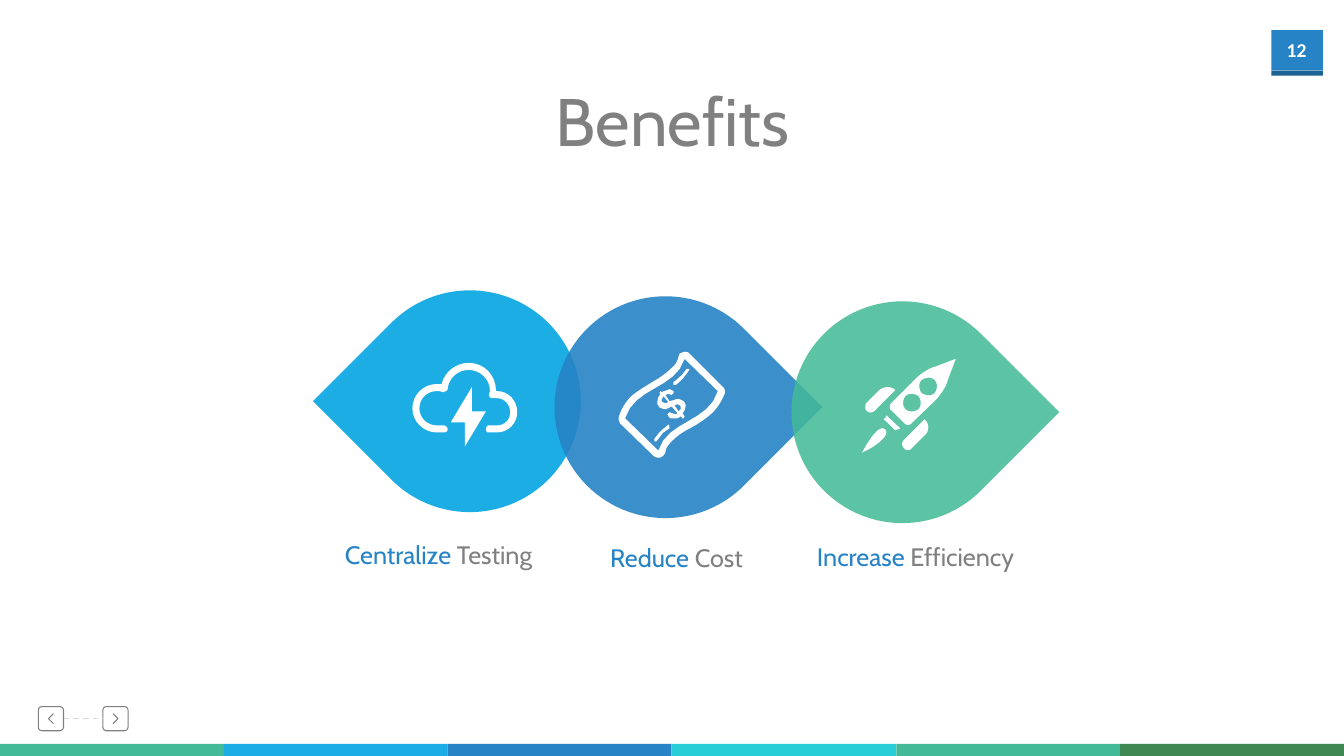
import pptx
import pptx.dml.color
import pptx.enum.dml
import pptx.enum.shapes
import pptx.enum.text
import pptx.oxml.ns
import pptx.util
from lxml import etree

PX = 9144  # one px is a hundredth of an inch
WIDTH, HEIGHT = 1333, 750
SHAPES = pptx.enum.shapes.MSO_SHAPE
GREY, WHITE = "808080", "FFFFFF"
SKY, BLUE, NAVY = "1CADE4", "2683C6", "1D6294"
CYAN, GREEN, FOREST = "27CED7", "42BA97", "3E8853"
CURVE_STEPS = 8

# Icon contours: a start point, then lines (x, y) or cubic curves (six numbers)
CLOUD = [[
    (485, 429), (483, 429, 482, 428, 482, 426), (482, 424, 483, 422, 485, 422),
    (493, 422), (501, 422, 506, 416, 506, 409), (506, 401, 500, 395, 493, 395),
    (489, 395), (488, 395, 487, 395, 486, 394), (485, 393, 485, 392, 485, 391),
    (486, 388), (486, 376, 476, 367, 465, 367), (454, 367, 445, 375, 444, 386),
    (444, 387, 443, 388, 442, 388), (441, 389, 440, 389, 439, 389),
    (437, 388, 435, 388, 433, 388), (424, 388, 416, 395, 416, 405),
    (416, 414, 423, 422, 433, 422), (440, 422), (442, 422, 444, 424, 444, 426),
    (444, 428, 442, 429, 440, 429), (433, 429), (420, 429, 409, 418, 409, 405),
    (409, 392, 420, 381, 433, 381), (438, 381), (441, 369, 452, 360, 465, 360),
    (480, 360, 492, 372, 492, 388), (493, 388), (504, 388, 513, 397, 513, 409),
    (513, 420, 504, 429, 493, 429)]]
BOLT = [[(482, 408), (468, 408), (468, 384), (447, 419), (461, 419), (461, 443)]]
BANKNOTE = [
    [(717, 384), (684, 351), (683, 349, 680, 349, 678, 349),
     (677, 350, 675, 350, 674, 351), (673, 354), (672, 359, 669, 363, 665, 366),
     (660, 371, 654, 375, 647, 379), (639, 384, 632, 388, 625, 394),
     (620, 400, 616, 406, 614, 413), (613, 415, 614, 418, 615, 420), (648, 452),
     (650, 454, 652, 454, 655, 454), (656, 453, 657, 453, 658, 452), (660, 449),
     (660, 444, 664, 440, 667, 437), (672, 432, 678, 428, 686, 424),
     (693, 420, 701, 415, 707, 409), (713, 403, 716, 397, 719, 390),
     (719, 388, 719, 385, 717, 384)],
    [(653, 447), (620, 415), (629, 384, 670, 386, 679, 356), (712, 388),
     (703, 419, 662, 417, 653, 447)]]
DOLLAR = [
    [(678, 398), (674, 396), (671, 396), (668, 397), (664, 398), (660, 392),
     (662, 391), (664, 391), (666, 392), (668, 390), (668, 388), (664, 386),
     (662, 387), (659, 388), (656, 389), (655, 388), (654, 390), (655, 391),
     (653, 394), (652, 398), (652, 401), (654, 404), (656, 405, 658, 406, 660, 406),
     (662, 405, 664, 405, 666, 403), (672, 410), (670, 411), (667, 410), (664, 409),
     (662, 411), (663, 413), (665, 415), (668, 415), (672, 415), (675, 413),
     (677, 415), (678, 415), (679, 413), (677, 410), (679, 407), (680, 403),
     (680, 401)],
    [(660, 400), (657, 399), (656, 397), (658, 393), (663, 399)],
    [(675, 406), (673, 408), (669, 402), (672, 401), (674, 402), (675, 403)]]
LOWER_MARK = [[
    (662, 422), (660, 424, 658, 425, 656, 427), (654, 429, 653, 430, 651, 433),
    (649, 435), (649, 438), (651, 438), (654, 434), (655, 433, 656, 431, 658, 429),
    (660, 428, 662, 426, 664, 425), (664, 422), (664, 421, 663, 421, 662, 422)]]
UPPER_MARK = [[
    (674, 374), (672, 376, 670, 378, 668, 379), (668, 382), (670, 382),
    (673, 380, 674, 379, 676, 377), (678, 375, 679, 373, 681, 371), (683, 368),
    (684, 367, 684, 366, 683, 366), (681, 366), (678, 370),
    (677, 371, 676, 373, 674, 374)]]
ROCKET_BODY = [
    [(927, 364), (922, 365, 913, 371, 909, 375), (884, 400),
     (882, 402, 882, 406, 884, 407), (897, 420), (898, 422, 903, 422, 904, 420),
     (929, 396), (933, 391, 939, 383, 940, 377), (948, 356)],
    [(911, 406), (907, 409, 901, 409, 898, 406), (895, 403, 895, 397, 898, 393),
     (901, 390, 907, 390, 911, 393), (914, 397, 914, 403, 911, 406)],
    [(927, 390), (924, 393, 919, 393, 914, 390), (911, 386, 911, 380, 914, 377),
     (919, 374, 924, 374, 927, 377), (930, 380, 930, 386, 927, 390)]]
LEFT_FIN = [[
    (868, 407), (888, 387), (884, 383, 877, 383, 872, 387), (859, 400),
    (858, 402, 858, 406, 859, 407), (862, 410, 865, 410, 868, 407)]]
RIGHT_FIN = [[
    (897, 436), (894, 439, 894, 442, 897, 445), (898, 447, 903, 447, 904, 445),
    (917, 432), (922, 428, 922, 420, 917, 416)]]
NOZZLE = [[
    (878, 415), (876, 415, 876, 417, 878, 417), (887, 426),
    (887, 427, 890, 427, 890, 426), (893, 425), (879, 412)]]
FLAME = [[(855, 449), (867, 444, 884, 432, 878, 426), (872, 420, 861, 438, 855, 449)]]


def rgb(color):
    return pptx.dml.color.RGBColor.from_string(color)


def flatten(contour):
    """Turn a contour with curves into plain points."""
    points = [contour[0]]
    for step in contour[1:]:
        if len(step) == 2:
            points.append(step)
            continue
        controls = (points[-1], step[:2], step[2:4], step[4:])
        for index in range(1, CURVE_STEPS + 1):
            t = index / CURVE_STEPS
            weights = ((1 - t) ** 3, 3 * t * (1 - t) ** 2, 3 * t * t * (1 - t), t ** 3)
            points.append(tuple(sum(w * c[axis] for w, c in zip(weights, controls))
                                for axis in (0, 1)))
    return points


class SlidePainter:
    def __init__(self, slide, font="Cabin"):
        self.shapes = slide.shapes
        self.font = font

    def paint(self, shape, fill=None, line=None, opacity=100):
        shape.shadow.inherit = False
        if fill:
            shape.fill.solid()
            shape.fill.fore_color.rgb = rgb(fill)
        else:
            shape.fill.background()
        if line:
            shape.line.color.rgb = rgb(line)
            shape.line.width = pptx.util.Pt(0.75)
        else:
            shape.line.fill.background()
        if opacity < 100:
            color = shape.fill._xPr.find(".//" + pptx.oxml.ns.qn("a:srgbClr"))
            etree.SubElement(color, pptx.oxml.ns.qn("a:alpha"), val=str(opacity * 1000))
        return shape

    def shape(self, kind, left, top, width, height, rotation=0, **style):
        shape = self.shapes.add_shape(kind, left * PX, top * PX, width * PX, height * PX)
        shape.rotation = rotation
        return self.paint(shape, **style)

    def outline(self, contours, closed=True, **style):
        builder = None
        for contour in contours:
            points = [(x * PX, y * PX) for x, y in flatten(contour)]
            if builder is None:
                builder = self.shapes.build_freeform(*points[0], scale=1.0)
            else:
                builder.move_to(*points[0])
            builder.add_line_segments(points[1:], close=closed)
        return self.paint(builder.convert_to_shape(), **style)

    def text(self, left, top, width, height, spans, size, font=None, bold=False):
        box = self.shapes.add_textbox(left * PX, top * PX, width * PX, height * PX)
        box.text_frame.word_wrap = False
        box.text_frame.auto_size = pptx.enum.text.MSO_AUTO_SIZE.SHAPE_TO_FIT_TEXT
        para = box.text_frame.paragraphs[0]
        para.alignment = pptx.enum.text.PP_ALIGN.CENTER
        para.font.name = font or self.font
        para.font.size = pptx.util.Pt(size)
        para.font.bold = bold
        for words, color in spans:
            span = para.add_run()
            span.text = words
            span.font.color.rgb = rgb(color)

    def dashed_line(self, left, top, target, side):
        line = self.shapes.add_connector(pptx.enum.shapes.MSO_CONNECTOR.STRAIGHT,
                                         left * PX, top * PX, target.left, top * PX)
        line.end_connect(target, side)
        line.line.color.rgb = rgb("D9D9D9")
        line.line.width = pptx.util.Pt(1)
        line.line.dash_style = pptx.enum.dml.MSO_LINE.DASH
        etree.SubElement(line._element.spPr, pptx.oxml.ns.qn("a:effectLst"))


def main():
    deck = pptx.Presentation()
    deck.slide_width, deck.slide_height = WIDTH * PX, HEIGHT * PX
    page = SlidePainter(deck.slides.add_slide(deck.slide_layouts[6]))

    # Page number badge
    page.shape(SHAPES.RECTANGLE, 1261, 30, 51, 40, fill=BLUE)
    page.shape(SHAPES.RECTANGLE, 1261, 70, 51, 5, fill=NAVY)
    page.text(1264, 33, 44, 34, [("12", WHITE)], 14, font="Calibri", bold=True)

    # Navigation buttons, each with a chevron
    for left, base, tip in ((38, 53, 48), (102, 112, 117)):
        button = page.shape(SHAPES.ROUNDED_RECTANGLE, left, 701, 25, 24, line=GREY)
        button.adjustments[0] = 0.15
        page.outline([[(base, 708), (tip, 713), (base, 718)]], closed=False, line=GREY)
    page.dashed_line(63, 713, button, 1)

    # Title
    page.text(535, 74, 264, 91, [("Benefits", GREY)], 48)

    # Benefits: teardrop, icon and label
    benefits = [
        ((356, 288), 225, SKY, 100, (CLOUD, BOLT),
         (325, 530, 220), ("Centralize ", "Testing")),
        ((550, 294), 45, BLUE, 90, (BANKNOTE, DOLLAR, LOWER_MARK, UPPER_MARK),
         (588, 533, 166), ("Reduce ", "Cost")),
        ((785, 299), 45, GREEN, 86, (ROCKET_BODY, LEFT_FIN, RIGHT_FIN, NOZZLE, FLAME),
         (792, 532, 232), ("Increase ", "Efficiency")),
    ]
    for corner, rotation, color, opacity, icon, label, words in benefits:
        page.shape(SHAPES.TEAR, *corner, 220, 220, rotation, fill=color, opacity=opacity)
        for part in icon:
            page.outline(part, fill=WHITE)
        page.text(*label, 40, list(zip(words, (BLUE, GREY))), 18)

    # Colour strip along the bottom edge
    strip = (GREEN, SKY, BLUE, CYAN, GREEN, FOREST)
    edges = [round(index * WIDTH / len(strip)) for index in range(len(strip) + 1)]
    for color, left, right in zip(strip, edges, edges[1:]):
        page.shape(SHAPES.RECTANGLE, left, 738, right - left, 12, fill=color)

    deck.save("out.pptx")


if __name__ == "__main__":
    main()
